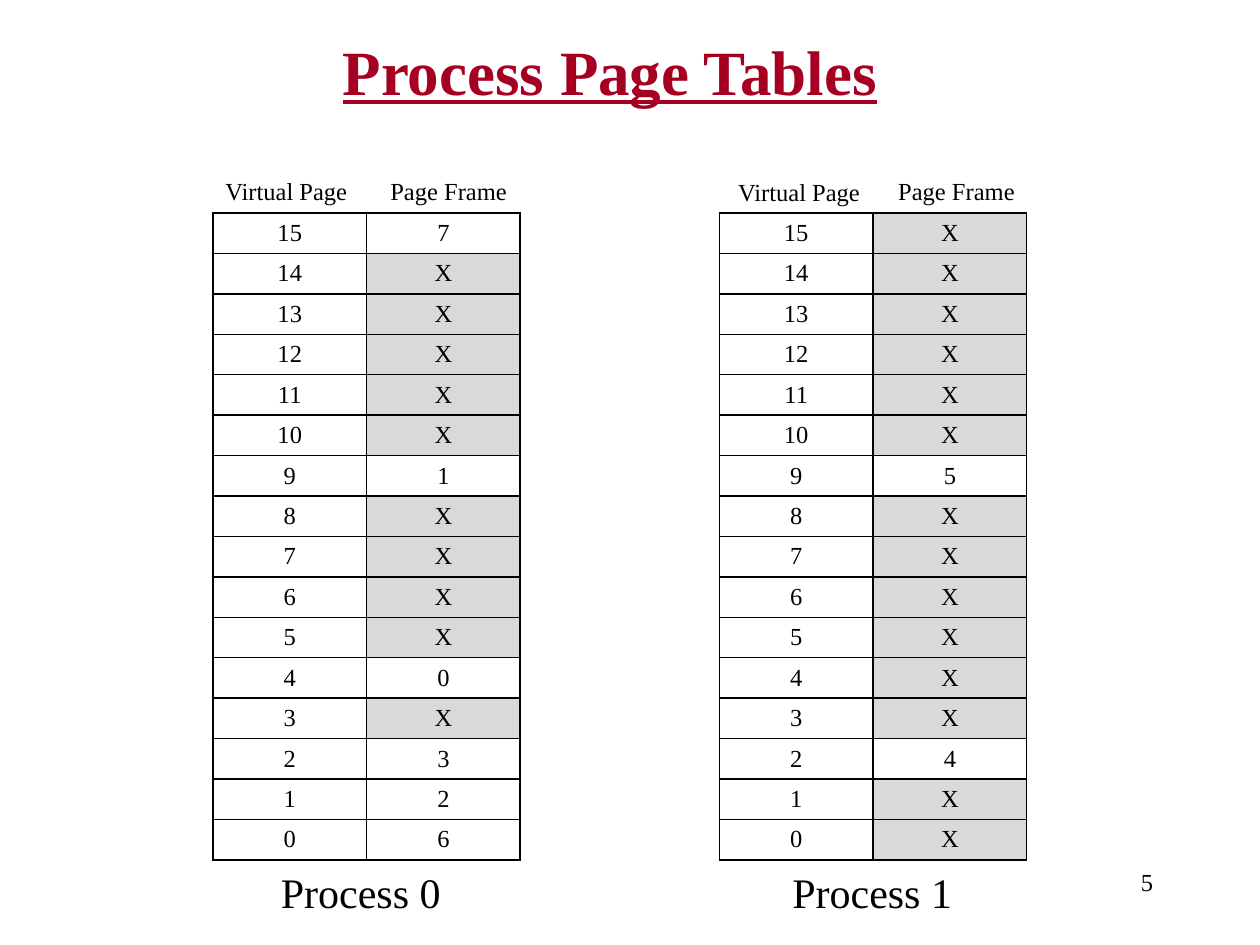
from dataclasses import dataclass

from lxml import etree
from pptx import Presentation
from pptx.dml.color import RGBColor
from pptx.enum import text as t
from pptx.oxml import ns
from pptx.util import Pt


@dataclass(frozen=True)
class Theme:
    font: str = "Times New Roman"
    ink: str = "000000"
    accent: str = "A50021"
    unmapped: str = "D9D9D9"
    title_size: int = 36
    process_size: int = 24
    body_size: int = 14


THEME = Theme()
COLUMN_WIDTH, ROW_HEIGHT = 87.8, 23.13
TABLE_TOP = 121.7
UNMAPPED = "X"

# Page frames run from the highest virtual page down to page 0.
# Left edges: table, "Virtual Page", "Page Frame", process name.
PROCESSES = [
    ("Process 0", "7 X X X X X 1 X X X X 0 X 3 2 6".split(),
     (121.7, 121.7, 216, 153.4), 97.2),
    ("Process 1", "X X X X X X 5 X X X X X X 4 X X".split(),
     (411.1, 414.7, 506.2, 445.7), 97.9),
]


def style_text(frame, content, size, align, color=THEME.ink):
    frame.text = content
    paragraph = frame.paragraphs[0]
    paragraph.alignment = align
    font = paragraph.runs[0].font
    font.name, font.size = THEME.font, Pt(size)
    font.color.rgb = RGBColor.from_string(color)
    return font


def add_label(slide, content, left, top, width, height, size,
              align=t.PP_ALIGN.LEFT, color=THEME.ink, wrap=False):
    box = slide.shapes.add_textbox(Pt(left), Pt(top), Pt(width), Pt(height))
    frame = box.text_frame
    frame.word_wrap = wrap
    if not wrap:
        frame.auto_size = t.MSO_AUTO_SIZE.SHAPE_TO_FIT_TEXT
    return frame, style_text(frame, content, size, align, color)


def add_borders(cell):
    properties = cell._tc.get_or_add_tcPr()
    for position, side in enumerate(("lnL", "lnR", "lnT", "lnB")):
        line = etree.Element(ns.qn(f"a:{side}"), w=str(Pt(1)))
        fill = etree.SubElement(line, ns.qn("a:solidFill"))
        etree.SubElement(fill, ns.qn("a:srgbClr"), val=THEME.ink)
        properties.insert(position, line)


def fill_cell(cell, content):
    cell.margin_left = cell.margin_right = cell.margin_top = cell.margin_bottom = 0
    cell.vertical_anchor = t.MSO_ANCHOR.MIDDLE
    style_text(cell.text_frame, content, THEME.body_size, t.PP_ALIGN.CENTER)
    if content == UNMAPPED:
        cell.fill.solid()
        cell.fill.fore_color.rgb = RGBColor.from_string(THEME.unmapped)
    else:
        cell.fill.background()
    add_borders(cell)


def add_page_table(slide, left, frames):
    count = len(frames)
    page_table = slide.shapes.add_table(
        count, 2, Pt(left), Pt(TABLE_TOP),
        Pt(2 * COLUMN_WIDTH), Pt(count * ROW_HEIGHT)).table
    page_table.first_row = page_table.horz_banding = False
    for column in page_table.columns:
        column.width = Pt(COLUMN_WIDTH)
    for row, page_frame in enumerate(frames):
        page_table.rows[row].height = Pt(ROW_HEIGHT)
        fill_cell(page_table.cell(row, 0), str(count - 1 - row))
        fill_cell(page_table.cell(row, 1), page_frame)


def add_process(slide, name, frames, lefts, virtual_top):
    table_left, virtual_left, frame_left, name_left = lefts
    add_page_table(slide, table_left, frames)
    add_label(slide, "Virtual Page", virtual_left, virtual_top, 85, 24.5,
              THEME.body_size)
    add_label(slide, "Page Frame", frame_left, 97.2, 81.4, 24.5,
              THEME.body_size)
    add_label(slide, name, name_left, 491.8, 106.6, 36, THEME.process_size)


def main():
    deck = Presentation()
    deck.slide_width, deck.slide_height = Pt(720), Pt(540)
    slide = deck.slides.add_slide(deck.slide_layouts[6])

    # Title
    title_frame, title_font = add_label(
        slide, "Process Page Tables", 42.5, 15.1, 612, 49.7, THEME.title_size,
        t.PP_ALIGN.CENTER, THEME.accent, wrap=True)
    title_frame.vertical_anchor = t.MSO_ANCHOR.MIDDLE
    title_font.bold = title_font.underline = True

    # Page tables with their headings and process names
    for process in PROCESSES:
        add_process(slide, *process)

    # Slide number
    add_label(slide, "5", 516.2, 491.8, 149.8, 36, THEME.body_size,
              t.PP_ALIGN.RIGHT, wrap=True)

    deck.save("out.pptx")


main()
